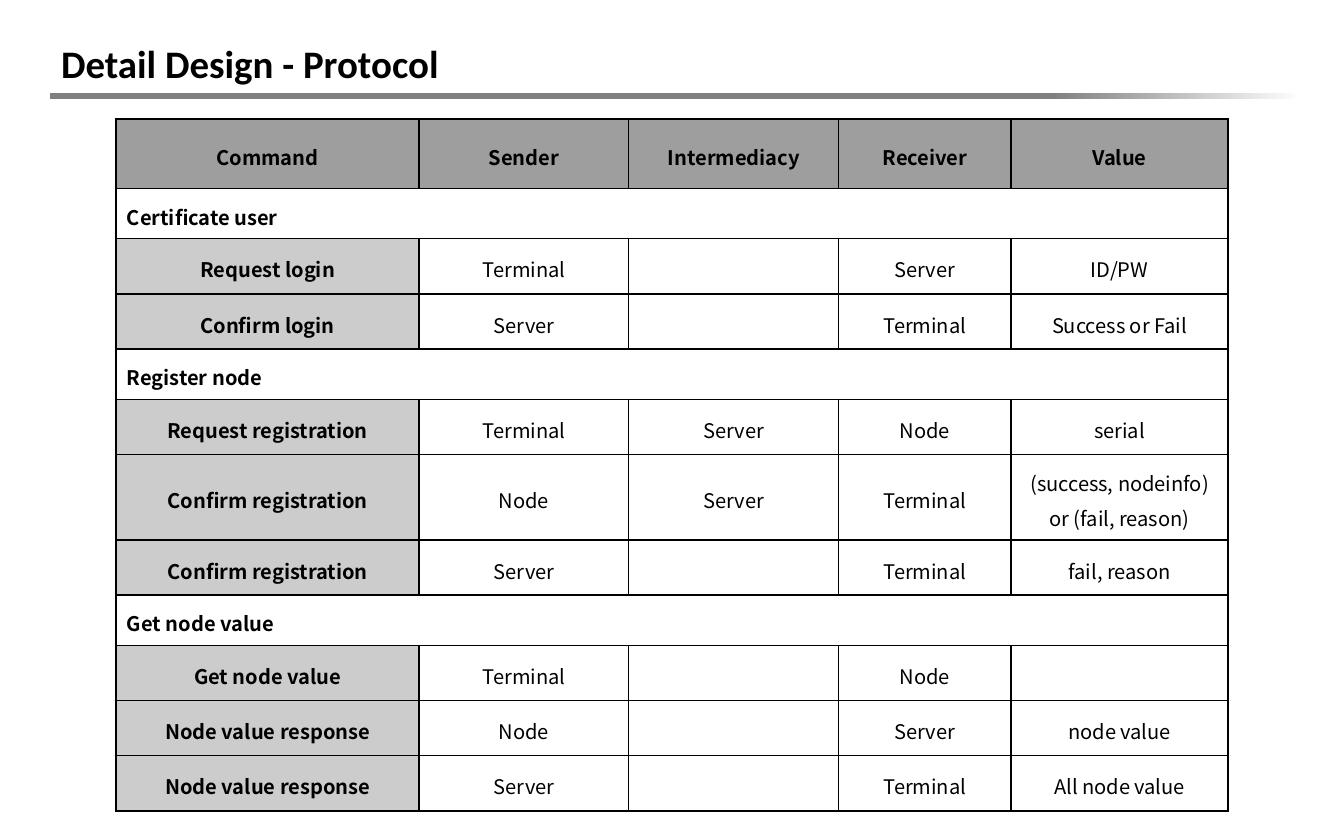
from copy import deepcopy
from dataclasses import dataclass

from lxml.etree import SubElement
from pptx import Presentation
from pptx.dml.color import RGBColor
from pptx.enum.shapes import MSO_SHAPE as Shape
from pptx.enum.text import MSO_ANCHOR as Anchor, PP_ALIGN as Align
from pptx.oxml.ns import qn
from pptx.util import Cm, Pt


@dataclass(frozen=True)
class Theme:
    title_font: str = "Calibri"
    table_font: str = "Noto Sans CJK KR"
    title_size: float = 25.2
    table_size: int = 13
    line_spacing: float = 1.2
    ink: str = "000000"
    paper: str = "FFFFFF"
    rule: str = "808080"
    header: str = "9E9E9E"
    command: str = "CCCCCC"


theme = Theme()


def add_span(para, text, font, size, bold):
    span = para.add_run()
    span.text = text
    span.font.name = font
    span.font.size = Pt(size)
    span.font.bold = bold
    span.font.color.rgb = RGBColor.from_string(theme.ink)


def style_cell(cell, fill):
    cell.fill.solid()
    cell.fill.fore_color.rgb = RGBColor.from_string(fill)
    cell.vertical_anchor = Anchor.MIDDLE
    cell.margin_left = cell.margin_right = Cm(0.25)
    cell.margin_top = cell.margin_bottom = Cm(0.18)
    # Borders come before the fill in the cell properties
    properties = cell._tc.get_or_add_tcPr()
    for index, side in enumerate(("a:lnL", "a:lnR", "a:lnT", "a:lnB")):
        line = SubElement(properties, qn(side), w=str(Pt(1)))
        properties.insert(index, line)
        solid = SubElement(line, qn("a:solidFill"))
        SubElement(solid, qn("a:srgbClr"), val=theme.ink)


# The page measures 870 by 540 points
deck = Presentation()
deck.slide_width, deck.slide_height = Pt(870), Pt(540)
page = deck.slides.add_slide(deck.slide_layouts[5])

# Title
title = page.shapes.title
title.left, title.top, title.width, title.height = Cm(1.14), Cm(0.76), Cm(28.6), Cm(1.37)
title.fill.solid()
title.fill.fore_color.rgb = RGBColor.from_string(theme.paper)
title.text_frame.vertical_anchor = Anchor.MIDDLE
title_para = title.text_frame.paragraphs[0]
title_para.alignment = Align.LEFT
add_span(title_para, "Detail Design - Protocol", theme.title_font, theme.title_size, True)

# Fading rule under the title
rule = page.shapes.add_shape(Shape.FLOWCHART_PROCESS, Cm(1.14), Cm(2.13), Cm(28.6), Cm(0.13))
rule.shadow.inherit = False
rule.line.fill.background()
rule.fill.gradient()
rule.fill.gradient_angle = 0
stop_list = rule._element.spPr.find(".//" + qn("a:gsLst"))
stop_list.append(deepcopy(stop_list[-1]))
stops = ((0, theme.rule), (0.8, theme.rule), (1, theme.paper))
for stop, (position, color) in zip(rule.fill.gradient_stops, stops):
    stop.position = position
    stop.color.rgb = RGBColor.from_string(color)

# Protocol commands; a single entry is a group heading
commands = [
    ("Command", "Sender", "Intermediacy", "Receiver", "Value"),
    ("Certificate user",),
    ("Request login", "Terminal", "", "Server", "ID/PW"),
    ("Confirm login", "Server", "", "Terminal", "Success or Fail"),
    ("Register node",),
    ("Request registration", "Terminal", "Server", "Node", "serial"),
    ("Confirm registration", "Node", "Server", "Terminal",
     "(success, nodeinfo)\nor (fail, reason)"),
    ("Confirm registration", "Server", "", "Terminal", "fail, reason"),
    ("Get node value",),
    ("Get node value", "Terminal", "", "Node", ""),
    ("Node value response", "Node", "", "Server", "node value"),
    ("Node value response", "Server", "", "Terminal", "All node value"),
]
column_widths = (6.92, 4.79, 4.79, 3.94, 4.95)

# Table
frame = page.shapes.add_table(len(commands), len(column_widths),
                              Cm(2.65), Cm(2.72), Cm(25.39), Cm(15.2))
table = frame.table
table.first_row = table.horz_banding = False
for column, width in zip(table.columns, column_widths):
    column.width = Cm(width)

for row_index, entries in enumerate(commands):
    row = table.rows[row_index]
    is_header, is_group = row_index == 0, len(entries) == 1
    has_two_lines = any("\n" in entry for entry in entries)
    row.height = Cm(1.58 if is_header else 1.14 if is_group else 1.91 if has_two_lines else 1.26)
    if is_group:
        row.cells[0].merge(row.cells[len(column_widths) - 1])

    for column_index, cell in enumerate(row.cells):
        is_command = column_index == 0 and not is_group
        style_cell(cell, theme.header if is_header
                   else theme.command if is_command else theme.paper)
        entry = entries[column_index] if column_index < len(entries) else ""
        for line_index, text in enumerate(entry.split("\n")):
            box = cell.text_frame
            para = box.add_paragraph() if line_index else box.paragraphs[0]
            para.alignment = Align.LEFT if is_group else Align.CENTER
            para.line_spacing = theme.line_spacing
            if text:
                add_span(para, text, theme.table_font, theme.table_size,
                         is_header or column_index == 0)
            else:
                # Keep empty cells from stretching the row
                SubElement(para._p, qn("a:endParaRPr"), sz=str(theme.table_size * 100))

deck.save("out.pptx")
